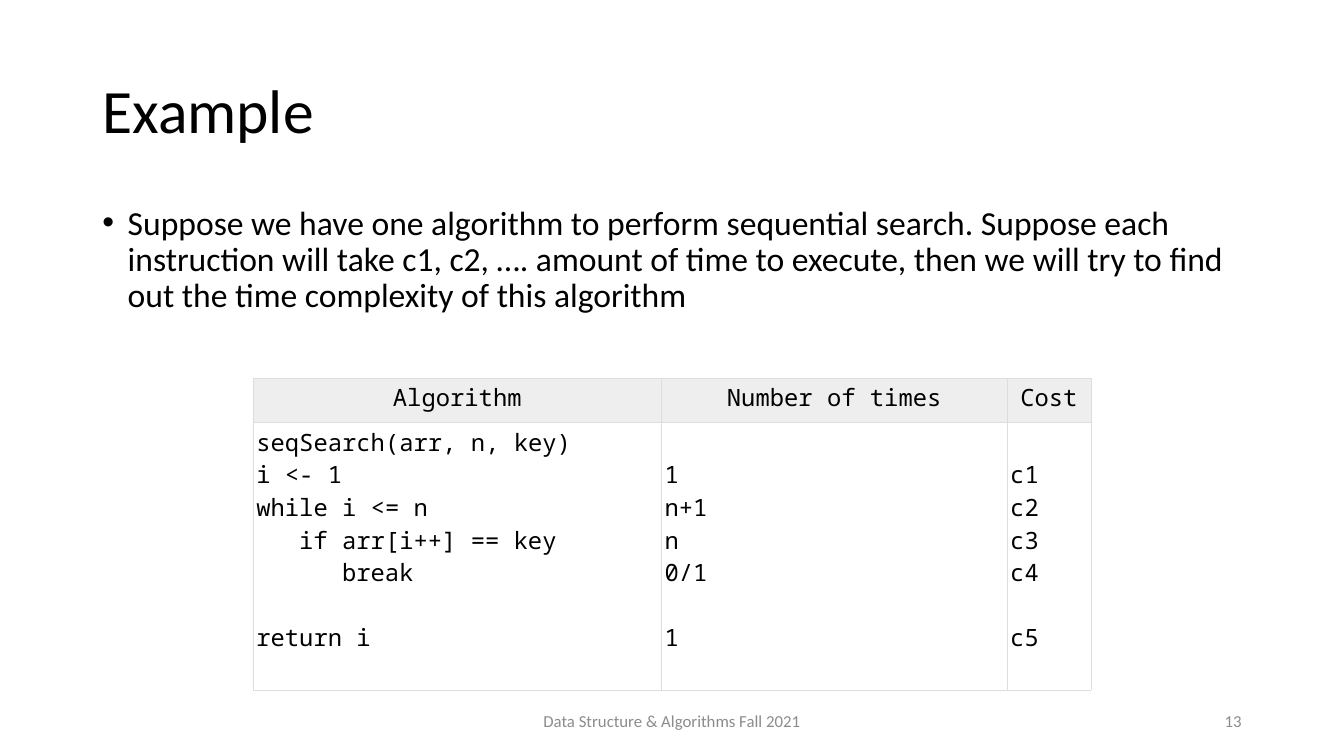
from dataclasses import dataclass

from lxml.etree import SubElement
from pptx import Presentation
from pptx.dml.color import RGBColor
from pptx.enum.text import MSO_ANCHOR, PP_ALIGN
from pptx.oxml.ns import qn
from pptx.util import Cm, Pt

BLACK = RGBColor(0x00, 0x00, 0x00)
GREY = RGBColor(0x8C, 0x8C, 0x8C)
PALE = RGBColor(0xEE, 0xEE, 0xEE)
RULE = RGBColor(0xDD, 0xDD, 0xDD)
SANS, MONO = "Calibri", "Noto Sans Mono"
CODE = 17  # code size in points
PITCH = 23.3  # height of one code line in points
STEP = Cm(1.08)  # one level of code indent
PAD = Cm(0.08)


@dataclass
class Label:
    text: str
    left: float
    top: float
    width: float
    height: float
    size: int
    color: RGBColor = BLACK
    align: PP_ALIGN = PP_ALIGN.LEFT
    anchor: MSO_ANCHOR = MSO_ANCHOR.MIDDLE
    bullet: bool = False


@dataclass
class Line:
    code: str
    times: str = ""
    cost: str = ""
    level: int = 0
    gap: int = 0  # open lines above


LABELS = [
    Label("Example", 2.33, 1.01, 29.21, 3.68, 44),
    Label("Suppose we have one algorithm to perform sequential search. "
          "Suppose each instruction will take c1, c2, …. amount of time to "
          "execute, then we will try to find out the time complexity of this "
          "algorithm", 2.33, 5.07, 29.21, 12.09, 24,
          anchor=MSO_ANCHOR.TOP, bullet=True),
    Label("Data Structure & Algorithms Fall 2021", 11.22, 17.65, 11.43, 1.01,
          12, GREY, PP_ALIGN.CENTER),
    Label("13", 23.92, 17.65, 7.62, 1.01, 12, GREY, PP_ALIGN.RIGHT),
]

HEADS = ["Algorithm", "Number of times", "Cost"]
WIDTHS = [10.29, 8.71, 2.11]
HEIGHTS = [1.12, 6.73]
LINES = [
    Line("seqSearch(arr, n, key)"),
    Line("i <- 1", "1", "c1"),
    Line("while i <= n", "n+1", "c2"),
    Line("if arr[i++] == key", "n", "c3", level=1),
    Line("break", "0/1", "c4", level=2),
    Line("return i", "1", "c5", gap=1),
]


def style(para, size: int, face: str, color: RGBColor) -> None:
    for run in para.runs:
        run.font.size = Pt(size)
        run.font.name = face
        run.font.bold = False
        run.font.color.rgb = color


def add_label(slide, label: Label) -> None:
    box = slide.shapes.add_textbox(Cm(label.left), Cm(label.top),
                                   Cm(label.width), Cm(label.height))
    frame = box.text_frame
    frame.word_wrap = True
    frame.vertical_anchor = label.anchor
    frame.text = label.text
    para = frame.paragraphs[0]
    para.alignment = label.align
    style(para, label.size, SANS, label.color)
    if label.size > 12:
        para.line_spacing = 0.9
    if label.bullet:
        para.space_before = Pt(10)
        props = para._p.get_or_add_pPr()
        props.set("marL", str(Cm(0.64)))
        props.set("indent", str(-Cm(0.64)))
        SubElement(props, qn("a:buFont")).set("typeface", "Arial")
        SubElement(props, qn("a:buChar")).set("char", "•")


def frame_cell(cell) -> None:
    cell.margin_left = cell.margin_right = PAD
    cell.margin_top = cell.margin_bottom = PAD
    props = cell._tc.get_or_add_tcPr()
    for side in ("lnL", "lnR", "lnT", "lnB"):
        edge = SubElement(props, qn(f"a:{side}"))
        edge.set("w", str(Pt(0.3)))
        fill = SubElement(edge, qn("a:solidFill"))
        SubElement(fill, qn("a:srgbClr")).set("val", str(RULE))


def fill_head(cell, text: str) -> None:
    frame_cell(cell)
    cell.fill.solid()
    cell.fill.fore_color.rgb = PALE
    cell.text_frame.text = text
    para = cell.text_frame.paragraphs[0]
    para.alignment = PP_ALIGN.CENTER
    style(para, CODE, MONO, BLACK)


def fill_body(cell, field: str) -> None:
    frame_cell(cell)
    cell.fill.background()
    shown = [line for line in LINES if getattr(line, field)]
    # Columns that start lower get a deeper top margin
    cell.margin_top = PAD + Pt(PITCH * LINES.index(shown[0]))
    frame = cell.text_frame
    frame.text = "\n".join(getattr(line, field) for line in shown)
    for line, para in zip(shown, frame.paragraphs):
        style(para, CODE, MONO, BLACK)
        if line.gap:
            para.space_before = Pt(PITCH * line.gap)
        if field == "code" and line.level:
            para._p.get_or_add_pPr().set("marL", str(STEP * line.level))


def add_costs(slide) -> None:
    shape = slide.shapes.add_table(2, len(HEADS), Cm(6.38), Cm(9.53),
                                   Cm(sum(WIDTHS)), Cm(sum(HEIGHTS)))
    table = shape.table
    table.first_row = table.horz_banding = False
    for row, height in zip(table.rows, HEIGHTS):
        row.height = Cm(height)
    fields = ("code", "times", "cost")
    for col, (head, width, field) in enumerate(zip(HEADS, WIDTHS, fields)):
        table.columns[col].width = Cm(width)
        fill_head(table.cell(0, col), head)
        fill_body(table.cell(1, col), field)


def main() -> None:
    deck = Presentation()
    deck.slide_width, deck.slide_height = Cm(33.87), Cm(19.05)
    slide = deck.slides.add_slide(deck.slide_layouts[6])
    # Title, bullet and footer
    for label in LABELS:
        add_label(slide, label)
    # Table of code and costs
    add_costs(slide)
    deck.save("out.pptx")


if __name__ == "__main__":
    main()
